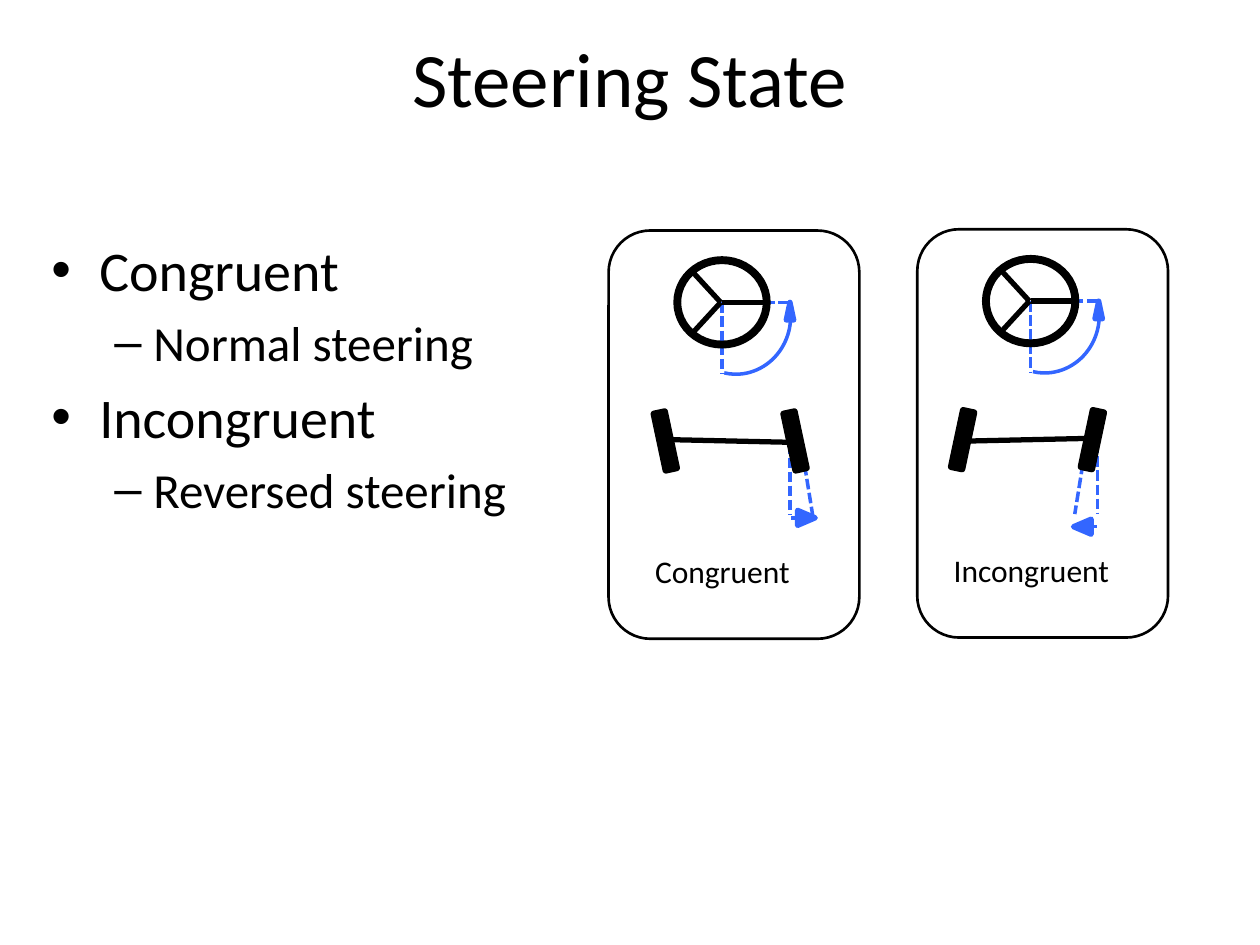
from lxml.etree import SubElement
from pptx import Presentation
from pptx.dml.color import RGBColor
from pptx.enum.dml import MSO_LINE
from pptx.enum.shapes import MSO_CONNECTOR, MSO_SHAPE
from pptx.enum.text import MSO_ANCHOR, PP_ALIGN
from pptx.oxml.ns import qn
from pptx.util import Inches, Pt

BLACK = RGBColor(0x00, 0x00, 0x00)
BLUE = RGBColor(0x33, 0x66, 0xFF)
FONT = "Calibri"


def add_line(slide, start, end, color, width, dashed=False):
    points = [Inches(value) for value in (*start, *end)]
    line = slide.shapes.add_connector(MSO_CONNECTOR.STRAIGHT, *points)
    line.line.color.rgb = color
    line.line.width = Pt(width)
    if dashed:
        line.line.dash_style = MSO_LINE.SQUARE_DOT
    SubElement(line._element.spPr, qn("a:effectLst"))


def add_outline(slide, kind, center, size, color, width, filled=False, rotation=0):
    (x, y), (shape_width, shape_height) = center, size
    shape = slide.shapes.add_shape(
        kind,
        Inches(x - shape_width / 2),
        Inches(y - shape_height / 2),
        Inches(shape_width),
        Inches(shape_height),
    )
    shape.shadow.inherit = False
    shape.rotation = rotation
    shape.line.color.rgb = color
    shape.line.width = Pt(width)
    if filled:
        shape.fill.solid()
        shape.fill.fore_color.rgb = color
    else:
        shape.fill.background()
    return shape


def add_text_frame(slide, box):
    shape = slide.shapes.add_textbox(*[Inches(value) for value in box])
    shape.text_frame.word_wrap = True
    return shape.text_frame


def add_run(paragraph, text, size):
    run = paragraph.add_run()
    run.text = text
    run.font.name = FONT
    run.font.size = Pt(size)
    run.font.color.rgb = BLACK


def add_title(slide, box, text):
    frame = add_text_frame(slide, box)
    frame.vertical_anchor = MSO_ANCHOR.MIDDLE
    paragraph = frame.paragraphs[0]
    paragraph.alignment = PP_ALIGN.CENTER
    add_run(paragraph, text, 44)


def add_bullets(slide, box, items):
    styles = [(32, 0.38, 0.38, "•"), (28, 0.81, 0.31, "–")]
    frame = add_text_frame(slide, box)
    for index, (level, text) in enumerate(items):
        size, margin, hanging, bullet = styles[level]
        paragraph = frame.add_paragraph() if index else frame.paragraphs[0]
        paragraph.level = level
        paragraph.space_before = Pt(size * 0.2)
        properties = paragraph._p.get_or_add_pPr()
        properties.set("marL", str(Inches(margin)))
        properties.set("indent", str(-Inches(hanging)))
        SubElement(properties, qn("a:buFont")).set("typeface", "Arial")
        SubElement(properties, qn("a:buChar")).set("char", bullet)
        add_run(paragraph, text, size)


def add_steering_wheel(slide, x, y):
    add_line(slide, (x, y), (x, y + 0.57), BLUE, 2, True)
    add_line(slide, (x, y), (x + 0.54, y), BLUE, 2, True)
    arc = add_outline(slide, MSO_SHAPE.ARC, (x + 0.11, y + 0.11), (0.92, 0.87), BLUE, 2, rotation=90)
    arc.adjustments[0] = 156.18
    arc.adjustments[1] = 6.95
    add_outline(slide, MSO_SHAPE.ISOSCELES_TRIANGLE, (x + 0.54, y + 0.07), (0.06, 0.14), BLUE, 3, True)
    add_outline(slide, MSO_SHAPE.OVAL, (x, y), (0.71, 0.67), BLACK, 4.5)
    add_line(slide, (x, y), (x + 0.34, y), BLACK, 3)
    for side in (-1, 1):
        add_line(slide, (x - 0.24, y + side * 0.25), (x - 0.01, y), BLACK, 3)


def add_axle(slide, left, y, side, arrow):
    right = left + 1.03
    arrow_x, arrow_y = arrow
    guide_bottom = y + 0.59
    add_line(slide, (right - side * 0.04, y + 0.02), (right - side * 0.04, guide_bottom), BLUE, 2, True)
    add_line(slide, (right + side * 0.04, y - 0.03), (right + side * 0.14, guide_bottom), BLUE, 2, True)
    for x in (left, right):
        add_outline(slide, MSO_SHAPE.ROUNDED_RECTANGLE, (x, y), (0.13, 0.5), BLACK, 0.75, True, -side * 12)
    add_line(slide, (left + 0.06, y - side * 0.01), (right - 0.06, y + side * 0.01), BLACK, 3)
    add_outline(slide, MSO_SHAPE.ISOSCELES_TRIANGLE, arrow, (0.12, 0.14), BLUE, 3, True, side * 90)
    add_line(slide, (arrow_x - side * 0.06, arrow_y), (arrow_x - side * 0.12, arrow_y), BLUE, 2)


def add_panel(slide, box, label, label_left, axle_left, side, arrow):
    left, top, width, height = box
    add_steering_wheel(slide, left + 0.9, top + 0.57)
    add_axle(slide, left + axle_left, top + 1.67, side, (left + arrow[0], top + arrow[1]))
    center = (left + width / 2, top + height / 2)
    add_outline(slide, MSO_SHAPE.ROUNDED_RECTANGLE, center, (width, height), BLACK, 1.5)
    frame = add_text_frame(slide, (left + label_left, top + 2.5, 1.65, 0.52))
    add_run(frame.paragraphs[0], label, 18)


def main():
    presentation = Presentation()
    presentation.slide_width = Inches(10)
    presentation.slide_height = Inches(7.5)
    slide = presentation.slides.add_slide(presentation.slide_layouts[6])
    add_title(slide, (0.5, -0.02, 9, 1.25), "Steering State")
    add_bullets(
        slide,
        (0.31, 1.82, 9.53, 3.98),
        [(0, "Congruent"), (1, "Normal steering"), (0, "Incongruent"), (1, "Reversed steering")],
    )
    add_panel(slide, (4.83, 1.83, 1.99, 3.24), "Congruent", 0.27, 0.45, 1, (1.57, 2.28))
    add_panel(slide, (7.28, 1.82, 1.99, 3.24), "Incongruent", 0.19, 0.36, -1, (1.31, 2.36))
    presentation.save("out.pptx")


if __name__ == "__main__":
    main()
